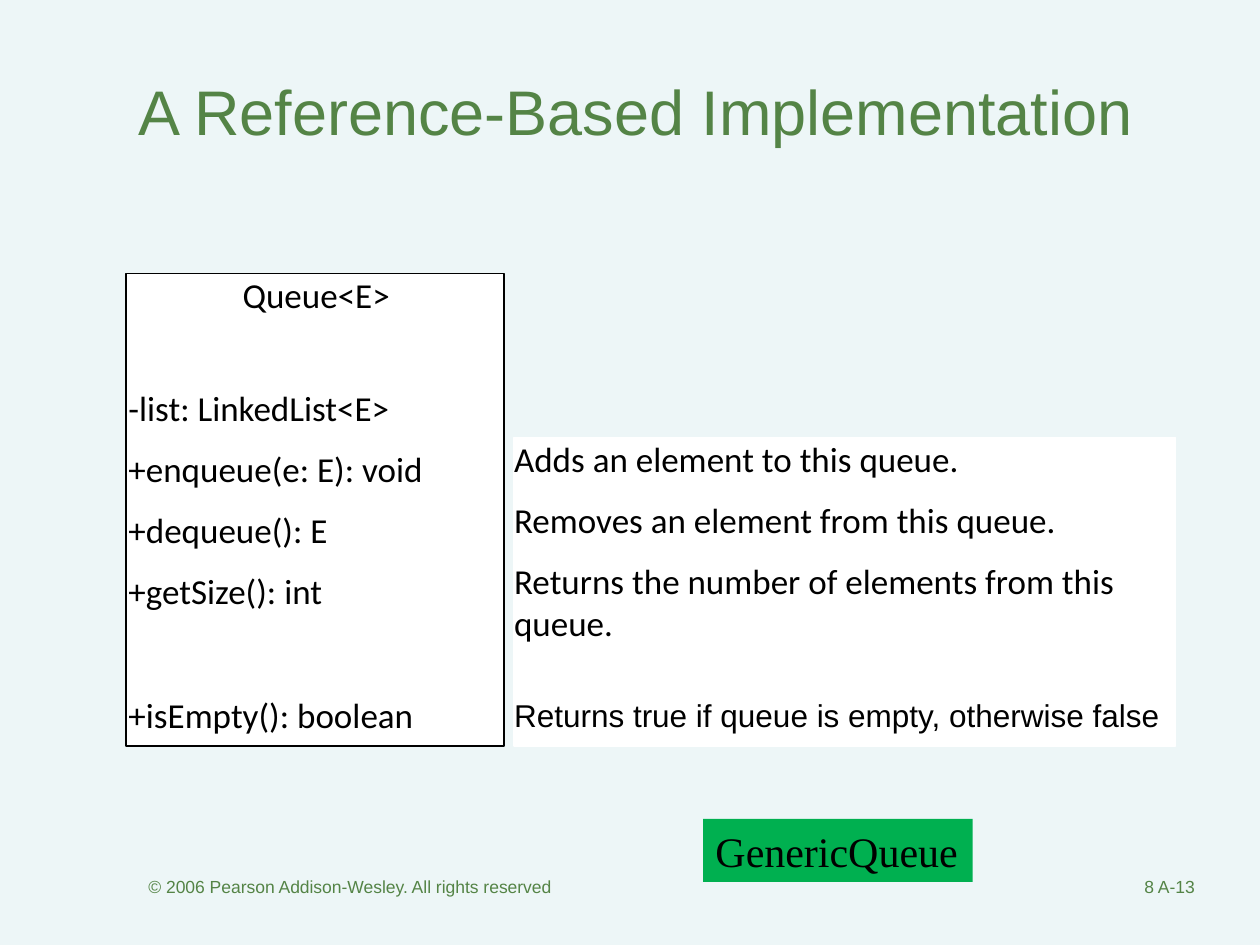
"""Build the slide describing a linked-list queue class."""
from pptx import Presentation
from pptx.dml.color import RGBColor
from pptx.enum.shapes import MSO_SHAPE as SHAPE
from pptx.enum.text import MSO_ANCHOR as ANCHOR, PP_ALIGN as ALIGN
from pptx.util import Inches, Pt

BACKGROUND = RGBColor(0xED, 0xF6, 0xF7)
GREEN_TEXT = RGBColor(0x54, 0x84, 0x46)
GREEN_FILL = RGBColor(0x00, 0xB0, 0x50)
BLACK = RGBColor(0, 0, 0)
WHITE = RGBColor(0xFF, 0xFF, 0xFF)


def set_font(p, name, size, color):
    font = p.runs[0].font
    font.name, font.size, font.color.rgb = name, Pt(size), color


def add_box(left, top, width, height, fill, line=None):
    s = slide.shapes.add_shape(SHAPE.RECTANGLE, Inches(left), Inches(top),
                               Inches(width), Inches(height))
    s.shadow.inherit = False
    s.fill.solid()
    s.fill.fore_color.rgb = fill
    if line is None:
        s.line.fill.background()
    else:
        s.line.color.rgb = line
        s.line.width = Pt(0.75)
    s.text_frame.vertical_anchor = ANCHOR.TOP
    return s


prs = Presentation()
prs.slide_width, prs.slide_height = Inches(10), Inches(7.5)
slide = prs.slides.add_slide(prs.slide_layouts[6])
slide.background.fill.solid()
slide.background.fill.fore_color.rgb = BACKGROUND

labels = [
    ("A Reference-Based Implementation", 1, 0.25, 8.5, 1.25, 36, ANCHOR.MIDDLE, ALIGN.LEFT),
    ("© 2006 Pearson Addison-Wesley. All rights reserved", 1.08, 6.67, 3.83, 0.5, 10,
     ANCHOR.BOTTOM, ALIGN.LEFT),
    ("8 A-13", 7.5, 6.67, 2.08, 0.5, 10, ANCHOR.BOTTOM, ALIGN.RIGHT),
]
for text, left, top, width, height, size, anchor, align in labels:
    s = slide.shapes.add_textbox(Inches(left), Inches(top), Inches(width), Inches(height))
    tf = s.text_frame
    tf.word_wrap = True
    tf.vertical_anchor = anchor
    tf.text = text
    tf.paragraphs[0].alignment = align
    set_font(tf.paragraphs[0], "Arial", size, GREEN_TEXT)

members = [
    ("Queue<E>", 0, 40.4),
    ("-list: LinkedList<E>", 0, 8),
    ("+enqueue(e: E): void", 3, 8),
    ("+dequeue(): E", 3, 8),
    ("+getSize(): int", 3, 43.4),
    ("+isEmpty(): boolean", 3, 0),
]
descriptions = [
    ("Adds an element to this queue.", 0, 8),
    ("Removes an element from this queue.", 3, 8),
    ("Returns the number of elements from this queue.", 3, 30),
    ("Returns true if queue is empty, otherwise false", 0, 0),
]
class_box = add_box(1, 2.17, 3, 3.75, WHITE, BLACK)
notes_box = add_box(4.08, 3.47, 5.25, 2.45, WHITE, WHITE)
for s, inset, rows in [(class_box, 0.02, members), (notes_box, 0, descriptions)]:
    tf = s.text_frame
    tf.word_wrap = True
    tf.margin_left = Inches(inset)
    tf.margin_top = tf.margin_right = tf.margin_bottom = 0
    tf.text = "\n".join(text for text, before, after in rows)
    for p, (text, before, after) in zip(tf.paragraphs, rows):
        p.alignment = ALIGN.LEFT
        p.space_before, p.space_after = Pt(before), Pt(after)
        set_font(p, "Calibri", 20, BLACK)
class_box.text_frame.paragraphs[0].alignment = ALIGN.CENTER
set_font(notes_box.text_frame.paragraphs[-1], "Arial", 18, BLACK)

tf = add_box(5.58, 6.5, 2.14, 0.5, GREEN_FILL).text_frame
tf.word_wrap = False
tf.text = "GenericQueue"
tf.paragraphs[0].alignment = ALIGN.LEFT
set_font(tf.paragraphs[0], "Times New Roman", 24, BLACK)

prs.save("out.pptx")
